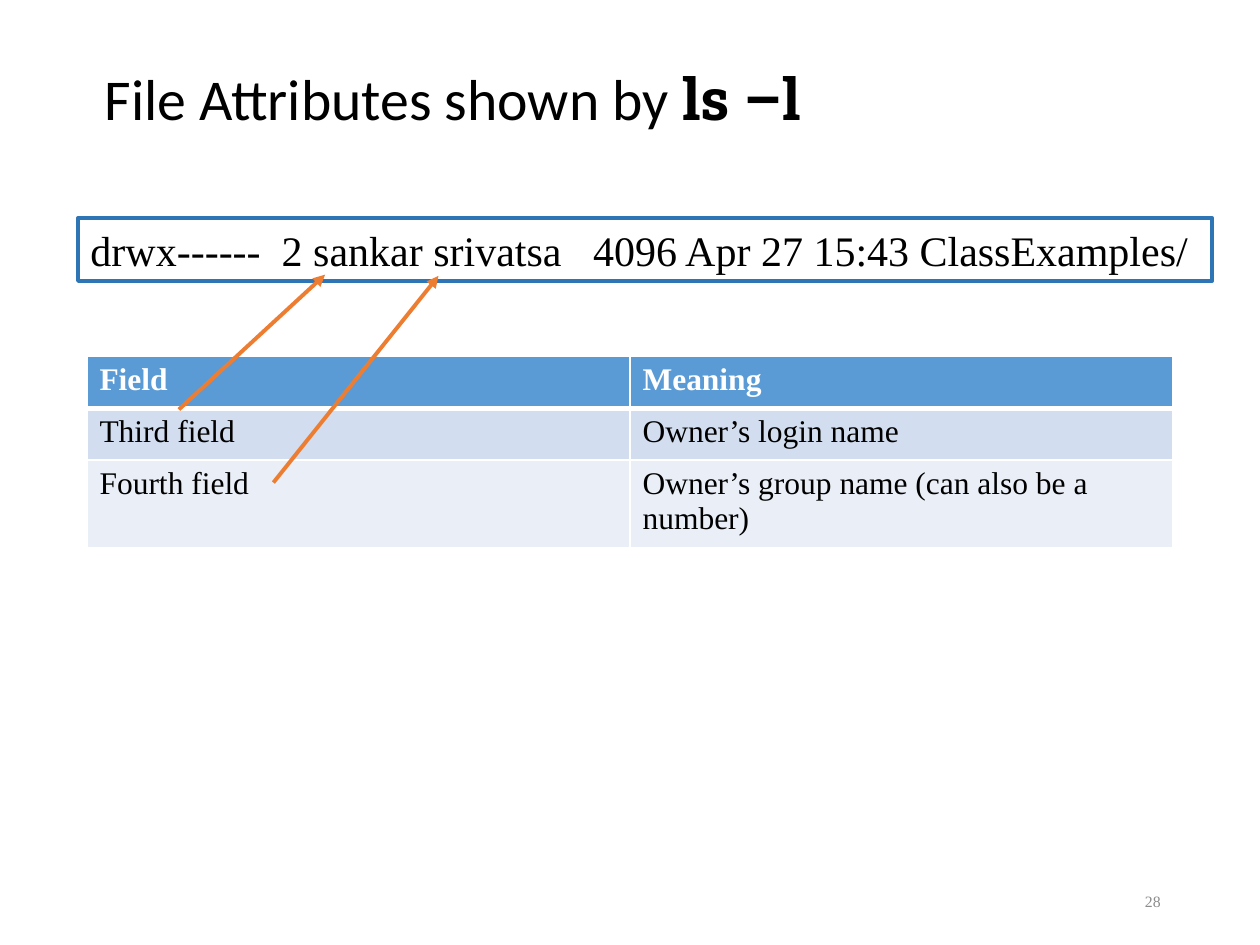
import dataclasses

import lxml.etree
import pptx
import pptx.dml.color
import pptx.enum.shapes
import pptx.enum.text
import pptx.oxml.ns
import pptx.util

Inches = pptx.util.Inches
Pt = pptx.util.Pt
Align = pptx.enum.text.PP_ALIGN
Anchor = pptx.enum.text.MSO_ANCHOR


@dataclasses.dataclass(frozen=True)
class Theme:
    title_font: str = "Calibri"
    command_font: str = "Roboto Slab"
    body_font: str = "Times New Roman"
    title_size: float = 33
    listing_size: float = 24
    table_size: float = 18
    number_size: float = 9
    line_width: float = 2.25
    ink: str = "000000"
    white: str = "FFFFFF"
    number: str = "8C8C8C"
    frame: str = "2E75B6"
    arrow: str = "ED7D31"
    header: str = "5B9BD5"
    bands: tuple = ("D2DEEF", "EAEFF7")


THEME = Theme()
ROWS = [
    ("Field", "Meaning"),
    ("Third field", "Owner’s login name"),
    ("Fourth field", "Owner’s group name (can also be a number)"),
]


def rgb(value):
    return pptx.dml.color.RGBColor.from_string(value)


def style(span, font, size, color, bold=False):
    span.font.name = font
    span.font.size = Pt(size)
    span.font.bold = bold
    span.font.color.rgb = rgb(color)


def child(parent, tag, **attributes):
    return lxml.etree.SubElement(parent, pptx.oxml.ns.qn(tag), attributes)


def place_title(page, left, top, width, height):
    title = page.shapes.title
    title.left, title.top, title.width, title.height = left, top, width, height
    title.text_frame.vertical_anchor = Anchor.MIDDLE
    title.text_frame.word_wrap = True
    para = title.text_frame.paragraphs[0]
    para.alignment = Align.LEFT
    para.line_spacing = 0.9
    for text, font, bold in (
        ("File Attributes shown by ", THEME.title_font, False),
        ("ls –l", THEME.command_font, True),
    ):
        span = para.add_run()
        span.text = text
        style(span, font, THEME.title_size, THEME.ink, bold)


def place_listing(page, left, top, width, height):
    box = page.shapes.add_shape(
        pptx.enum.shapes.MSO_SHAPE.RECTANGLE, left, top, width, height)
    box.shadow.inherit = False
    box.fill.background()
    box.line.color.rgb = rgb(THEME.frame)
    box.line.width = Pt(THEME.line_width)
    frame = box.text_frame
    frame.word_wrap = False
    frame.vertical_anchor = Anchor.TOP
    frame.text = "drwx------  2 sankar srivatsa   4096 Apr 27 15:43 ClassExamples/"
    para = frame.paragraphs[0]
    para.alignment = Align.LEFT
    style(para.runs[0], THEME.body_font, THEME.listing_size, THEME.ink)


def set_borders(cell, widths):
    """Draw white borders; widths maps each side (L, R, T, B, in order) to points."""
    properties = cell._tc.get_or_add_tcPr()
    for side, width in widths.items():
        line = child(properties, f"a:ln{side}", w=str(Pt(width)))
        child(child(line, "a:solidFill"), "a:srgbClr", val=THEME.white)


def place_field_table(page, left, top, width, row_height):
    table = page.shapes.add_table(
        len(ROWS), len(ROWS[0]), left, top, width, row_height * len(ROWS)).table
    for row, texts in enumerate(ROWS):
        is_header = row == 0
        fill = THEME.header if is_header else THEME.bands[(row - 1) % 2]
        color = THEME.white if is_header else THEME.ink
        for column, text in enumerate(texts):
            cell = table.cell(row, column)
            set_borders(cell, {
                "L": 1, "R": 1,
                "T": 3 if row == 1 else 1,
                "B": 3 if is_header else 1,
            })
            cell.fill.solid()
            cell.fill.fore_color.rgb = rgb(fill)
            cell.text_frame.text = text
            style(cell.text_frame.paragraphs[0].runs[0], THEME.body_font,
                  THEME.table_size, color, is_header)


def place_arrow(page, start, end):
    arrow = page.shapes.add_connector(
        pptx.enum.shapes.MSO_CONNECTOR.STRAIGHT,
        *(Inches(value) for value in start + end))
    arrow.line.color.rgb = rgb(THEME.arrow)
    arrow.line.width = Pt(THEME.line_width)
    child(arrow.line._get_or_add_ln(), "a:tailEnd", type="triangle")
    child(arrow._element.spPr, "a:effectLst")


def place_page_number(page, left, top, width, height):
    frame = page.shapes.add_textbox(left, top, width, height).text_frame
    frame.word_wrap = True
    frame.vertical_anchor = Anchor.MIDDLE
    frame.text = "28"
    para = frame.paragraphs[0]
    para.alignment = Align.RIGHT
    style(para.runs[0], THEME.body_font, THEME.number_size, THEME.number)


def main():
    deck = pptx.Presentation()
    deck.slide_width, deck.slide_height = Inches(10), Inches(7.5)
    page = deck.slides.add_slide(deck.slide_layouts.get_by_name("Title Only"))
    place_title(page, Inches(0.73), Inches(0.03), Inches(8.62), Inches(1.55))
    place_page_number(page, Inches(7.06), Inches(6.95), Inches(2.25), Inches(0.4))
    place_field_table(page, Inches(0.69), Inches(2.83), Inches(8.62), Inches(0.41))
    place_listing(page, Inches(0.62), Inches(1.73), Inches(9), Inches(0.5))
    place_arrow(page, (1.42, 3.25), (2.58, 2.18))
    place_arrow(page, (2.17, 3.83), (3.48, 2.19))
    deck.save("out.pptx")


if __name__ == "__main__":
    main()
